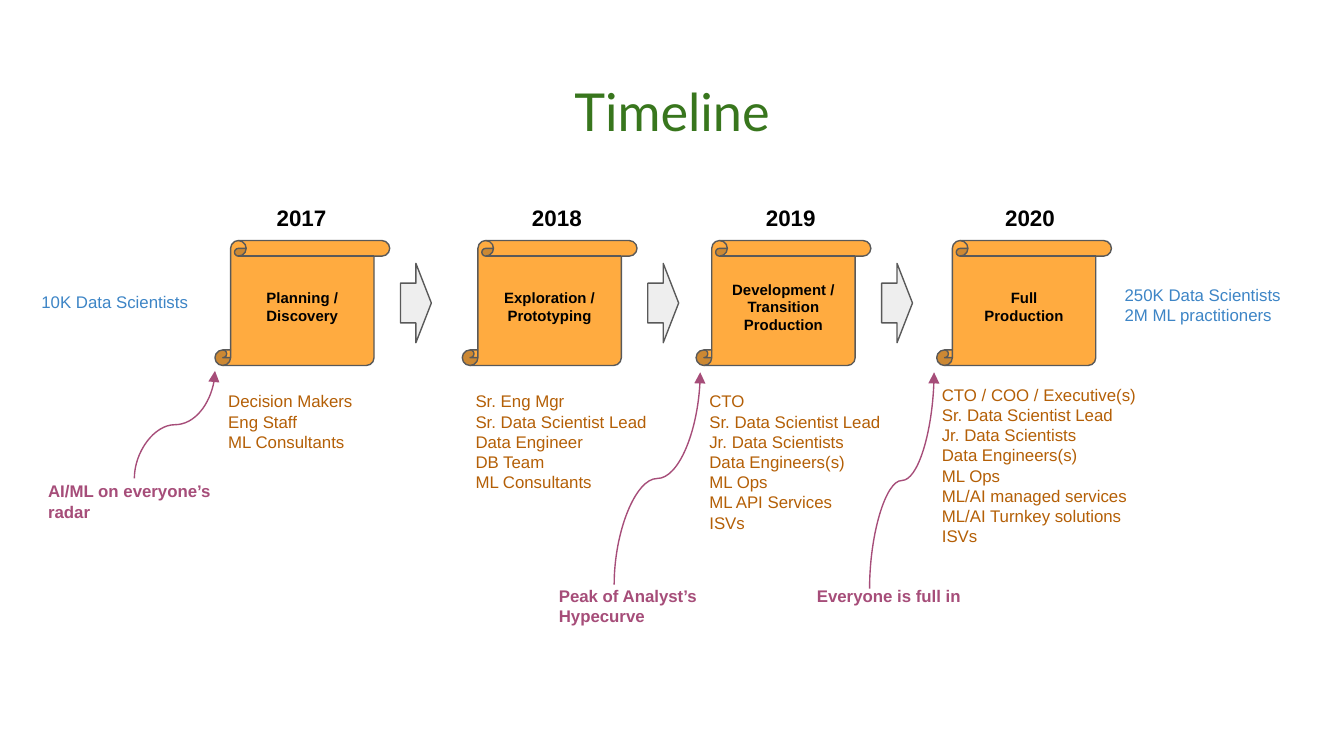
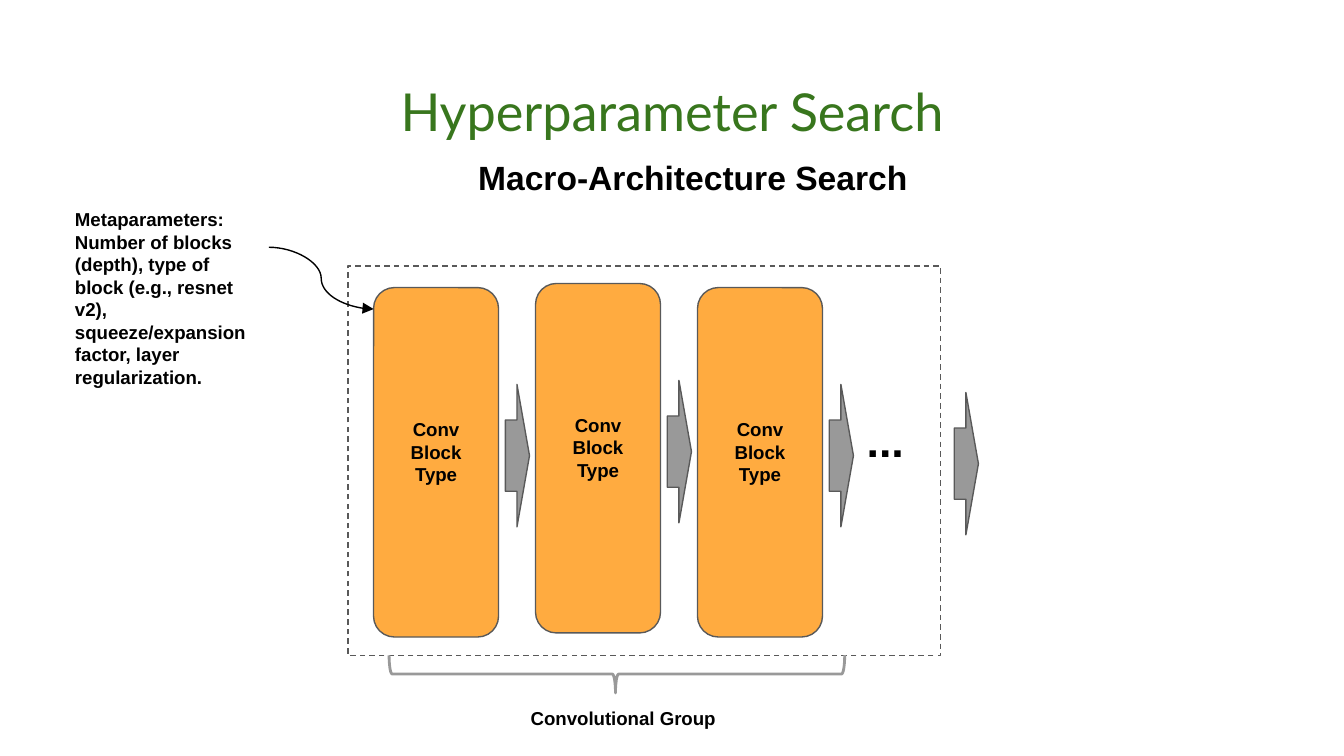
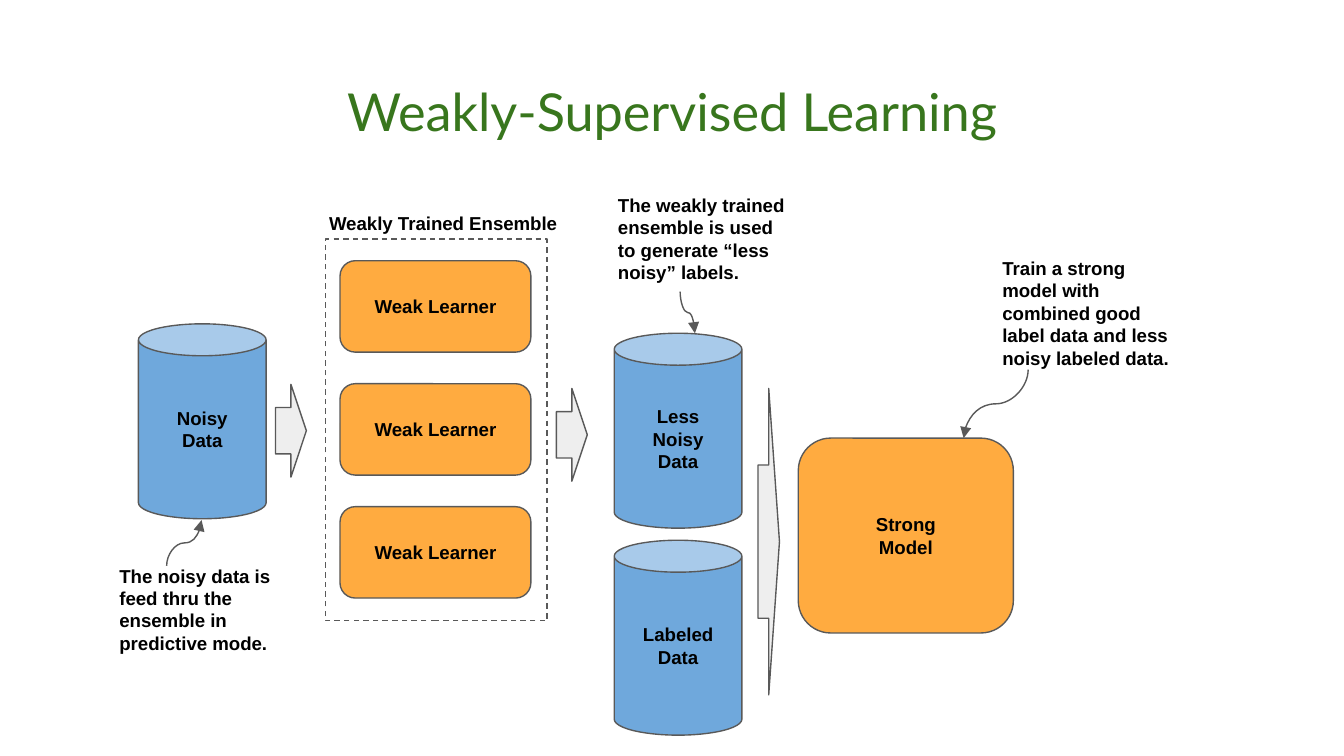
from copy import deepcopy
from typing import NamedTuple

from pptx import Presentation
from pptx.dml.color import RGBColor
from pptx.enum.dml import MSO_LINE
from pptx.enum.shapes import MSO_CONNECTOR, MSO_SHAPE
from pptx.enum.text import MSO_ANCHOR, MSO_AUTO_SIZE, PP_ALIGN
from pptx.oxml.ns import qn
from pptx.oxml.xmlchemy import OxmlElement
from pptx.util import Inches, Pt

GREEN = RGBColor(0x38, 0x76, 0x1D)
ORANGE = RGBColor(0xFF, 0xAB, 0x40)
BROWN = RGBColor(0xB4, 0x5F, 0x06)
PLUM = RGBColor(0xA6, 0x4D, 0x79)
BLUE = RGBColor(0x3D, 0x85, 0xC6)
SKY = RGBColor(0x6F, 0xA8, 0xDC)
BLACK = RGBColor(0, 0, 0)
OUTLINE = RGBColor(0x59, 0x59, 0x59)
GREY = RGBColor(0x99, 0x99, 0x99)
PALE = RGBColor(0xEE, 0xEE, 0xEE)
TITLE_FONT = "Lato"
BODY_FONT = "Arial"

STAGES = [
    (1.6, 0.36, "2017", "Planning /\nDiscovery"),
    (3.44, 0.42, "2018", "Exploration /\nPrototyping"),
    (5.18, 0.42, "2019", "Development /\vTransition\nProduction"),
    (6.97, 0.41, "2020", "Full\vProduction"),
]
TEAMS = [
    (1.6, 2.81, 1.3, 0.7, "Decision Makers\nEng Staff\nML Consultants"),
    (3.44, 2.81, 1.56, 1.04,
     "Sr. Eng Mgr\nSr. Data Scientist Lead\vData Engineer\vDB Team\vML Consultants"),
    (5.18, 2.81, 1.56, 1.22,
     "CTO\vSr. Data Scientist Lead\vJr. Data Scientists\nData Engineers(s)\v"
     "ML Ops\vML API Services\vISVs"),
    (6.91, 2.76, 1.67, 1.32,
     "CTO / COO / Executive(s)\vSr. Data Scientist Lead\vJr. Data Scientists\n"
     "Data Engineers(s)\vML Ops\vML/AI managed services\n"
     "ML/AI Turnkey solutions\vISVs"),
]
MILESTONES = [
    (0.26, 3.48, "AI/ML on everyone’s radar", (1, 3.56), (1.6, 2.76)),
    (4.06, 4.26, "Peak of Analyst’s Hypecurve", (4.57, 4.35), (5.21, 2.77)),
    (5.98, 4.26, "Everyone is full in", (6.47, 4.38), (6.95, 2.77)),
]
CONV_BLOCKS = [
    (0.16, "Conv Block\nType"),
    (0.13, "Conv Block\nType"),
    (0.16, "Conv\nBlock\nType"),
]


class Box(NamedTuple):
    """A rectangle in inches."""

    left: float
    top: float
    width: float
    height: float

    def inside(self, left, top, width, height):
        """Return a box offset from this one's corner."""
        return Box(self.left + left, self.top + top, width, height)

    def lengths(self):
        """Return the four lengths for python-pptx."""
        return [Inches(value) for value in self]


def write(frame, text, size, color, bold=False, align=PP_ALIGN.LEFT, font=BODY_FONT):
    """Fill a text frame and format its runs and line breaks."""
    frame.word_wrap = True
    frame.auto_size = MSO_AUTO_SIZE.NONE
    for side in ("left", "top", "right", "bottom"):
        setattr(frame, f"margin_{side}", Inches(0.1))
    frame.text = text
    for para in frame.paragraphs:
        para.alignment = align
        for span in para.runs:
            span.font.name = font
            span.font.size = Pt(size)
            span.font.bold = bold
            span.font.color.rgb = color
        for line_break in para._p.findall(qn("a:br")):
            line_break.insert(0, deepcopy(para.runs[0]._r.rPr))


def add_label(page, box, text, size=10, color=BLACK, bold=True):
    """Add a left-aligned text box."""
    label = page.shapes.add_textbox(*box.lengths())
    write(label.text_frame, text, size, color, bold)


def add_figure(page, kind, box, fill=None, text="", size=10, line=OUTLINE, weight=0.75):
    """Add an outlined preset shape with centred bold text."""
    figure = page.shapes.add_shape(kind, *box.lengths())
    figure.shadow.inherit = False
    if fill is None:
        figure.fill.background()
    else:
        figure.fill.solid()
        figure.fill.fore_color.rgb = fill
    figure.line.color.rgb = line
    figure.line.width = Pt(weight)
    if text:
        write(figure.text_frame, text, size, BLACK, True, PP_ALIGN.CENTER)
        figure.text_frame.vertical_anchor = MSO_ANCHOR.MIDDLE
    return figure


def add_frame(page, box):
    """Add a dashed frame."""
    add_figure(page, MSO_SHAPE.RECTANGLE, box).line.dash_style = MSO_LINE.DASH


def add_step_arrow(page, box):
    """Add a pale block arrow pointing right."""
    add_figure(page, MSO_SHAPE.RIGHT_ARROW, box, PALE)


def add_curve(page, start, end, color, upright=True):
    """Add a curved arrow that leaves vertically when upright."""
    (x1, y1), (x2, y2) = start, end
    if upright:
        middle_x, middle_y = (x1 + x2) / 2, (y1 + y2) / 2
        half_run, half_rise = abs(y2 - y1) / 2, abs(x2 - x1) / 2
        corners = (middle_x - half_run, middle_y - half_rise,
                   middle_x + half_run, middle_y + half_rise)
    else:
        corners = (x1, y1, x2, y2)
    curve = page.shapes.add_connector(
        MSO_CONNECTOR.CURVE, *[Inches(value) for value in corners])
    curve.line.color.rgb = color
    curve.line.width = Pt(0.75)
    properties = curve._element.spPr
    if upright:
        transform = properties.find(qn("a:xfrm"))
        transform.set("rot", str((270 if x2 > x1 else 90) * 60000))
        if (x2 > x1) == (y2 > y1):
            transform.set("flipH", "1")
    tail = OxmlElement("a:tailEnd")
    tail.set("type", "triangle")
    properties.find(qn("a:ln")).append(tail)
    properties.append(OxmlElement("a:effectLst"))


def add_page(deck, title):
    """Add a title-only slide with the shared title style."""
    page = deck.slides.add_slide(deck.slide_layouts[5])
    holder = page.shapes.title
    holder.left, holder.top, holder.width, holder.height = Box(
        0.34, 0.49, 9.32, 0.63).lengths()
    write(holder.text_frame, title, 28, GREEN, align=PP_ALIGN.CENTER, font=TITLE_FONT)
    holder.text_frame.vertical_anchor = MSO_ANCHOR.TOP
    return page


def draw_stage(page, box, year_offset, year, name, has_next):
    """Draw one year's scroll, its heading and the arrow to the next."""
    if has_next:
        add_step_arrow(page, box.inside(1.38, 0.17, 0.23, 0.59))
    add_figure(page, MSO_SHAPE.VERTICAL_SCROLL, box, ORANGE, name, 8)
    add_label(page, box.inside(year_offset, -0.37, 0.59, 0.37), year, 12)


def draw_timeline(deck):
    """Build the timeline slide."""
    page = add_page(deck, "Timeline")
    for number, (left, year_offset, year, name) in enumerate(STAGES, 1):
        draw_stage(page, Box(left, 1.79, 1.3, 0.93), year_offset, year, name,
                   number < len(STAGES))
    add_label(page, Box(0.21, 2.07, 1.46, 0.37), "10K Data Scientists", 9, BLUE, False)
    add_label(page, Box(8.27, 2.02, 1.73, 0.43),
              "250K Data Scientists\n2M ML practitioners", 9, BLUE, False)
    for *place, members in TEAMS:
        add_label(page, Box(*place), members, 9, BROWN, False)
    for left, top, event, start, end in MILESTONES:
        add_label(page, Box(left, top, 1.46, 0.59), event, 9, PLUM)
        add_curve(page, start, end, PLUM)


def add_flow_arrow(page, box):
    """Add a slim grey arrow turned to point right."""
    arrow = add_figure(page, MSO_SHAPE.DOWN_ARROW, box, GREY)
    arrow.adjustments[1] = 0.517
    arrow.rotation = 270


def draw_conv_group(page, box):
    """Draw the framed chain of convolution blocks with its brace."""
    add_frame(page, box)
    for number, (drop, name) in enumerate(CONV_BLOCKS):
        block_box = box.inside(0.19 + 1.205 * number, drop, 0.93, 2.6)
        block = add_figure(page, MSO_SHAPE.ROUNDED_RECTANGLE, block_box, ORANGE, name)
        block.text_frame.margin_bottom = Inches(0.26)
        add_flow_arrow(page, block_box.inside(0.54, 1.16, 1.06, 0.18))
    add_label(page, box.inside(3.76, 0.99, 0.83, 0.46), "...", 24)
    add_flow_arrow(page, box.inside(4.07, 1.38, 1.06, 0.18))
    brace = add_figure(page, MSO_SHAPE.LEFT_BRACE, box.inside(1.86, 1.34, 0.28, 3.39),
                       line=GREY, weight=1.5)
    brace.adjustments[1] = 0.497
    brace.rotation = 270
    add_label(page, box.inside(1.26, 3.18, 1.88, 0.28), "Convolutional Group")


def draw_search(deck):
    """Build the hyperparameter search slide."""
    page = add_page(deck, "Hyperparameter Search")
    add_label(page, Box(3.46, 1.07, 3.46, 0.44), "Macro-Architecture Search", 18)
    draw_conv_group(page, Box(2.59, 1.98, 4.41, 2.9))
    add_curve(page, (2, 1.84), (2.78, 2.3), BLACK, upright=False)
    add_label(page, Box(0.46, 1.45, 1.54, 2.21),
              "Metaparameters:\vNumber of blocks (depth), type of block (e.g., resnet v2), "
              "squeeze/expansion factor, layer regularization.")


def draw_ensemble(page, box):
    """Draw the framed stack of weak learners."""
    for number in range(3):
        add_figure(page, MSO_SHAPE.ROUNDED_RECTANGLE,
                   box.inside(0.11, 0.16 + 0.915 * number, 1.42, 0.68),
                   ORANGE, "Weak Learner")
    add_frame(page, box)
    add_label(page, box.inside(-0.07, -0.3, 1.96, 0.3), "Weakly Trained Ensemble")


def draw_weak_supervision(deck):
    """Build the weakly-supervised learning slide."""
    page = add_page(deck, "Weakly-Supervised Learning")
    draw_ensemble(page, Box(2.42, 1.78, 1.65, 2.84))
    for left, top, name in ((1.03, 2.41, "Noisy\vData"),
                            (4.57, 2.48, "Less\vNoisy\vData"),
                            (4.57, 4.02, "Labeled\vData")):
        add_figure(page, MSO_SHAPE.CAN, Box(left, top, 0.95, 1.45), SKY, name)
    for place in ((2.05, 2.86, 0.23, 0.69), (4.14, 2.89, 0.23, 0.69),
                  (5.64, 2.89, 0.16, 2.28)):
        add_step_arrow(page, Box(*place))
    add_figure(page, MSO_SHAPE.ROUNDED_RECTANGLE, Box(5.94, 3.26, 1.6, 1.45),
               ORANGE, "Strong\vModel")
    notes = (
        (0.79, 4.1, 1.36, (1.24, 4.21), (1.5, 3.87),
         "The noisy data is feed thru the ensemble in predictive mode."),
        (4.5, 1.34, 1.03, (5.06, 2.17), (5.17, 2.48),
         "The weakly trained ensemble is used to generate “less noisy” labels."),
        (7.36, 1.81, 1.03, (7.65, 2.75), (7.17, 3.26),
         "Train a strong model with combined good label data and less noisy labeled data."),
    )
    for left, top, height, start, end, note in notes:
        add_label(page, Box(left, top, 1.47, height), note)
        add_curve(page, start, end, OUTLINE)


def main():
    """Build and save the widescreen deck."""
    deck = Presentation()
    deck.slide_width = Inches(10)
    deck.slide_height = Inches(10 * 9 / 16)
    draw_timeline(deck)
    draw_search(deck)
    draw_weak_supervision(deck)
    deck.save("out.pptx")


if __name__ == "__main__":
    main()
